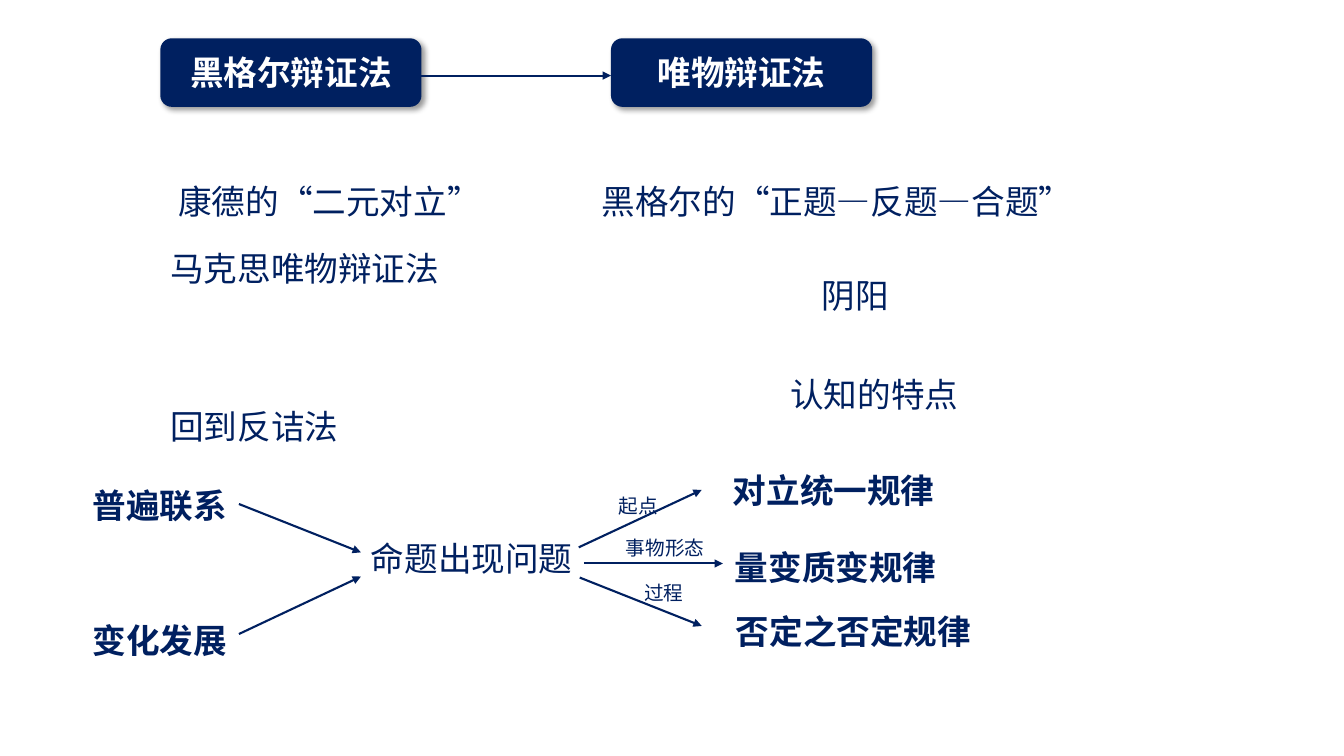
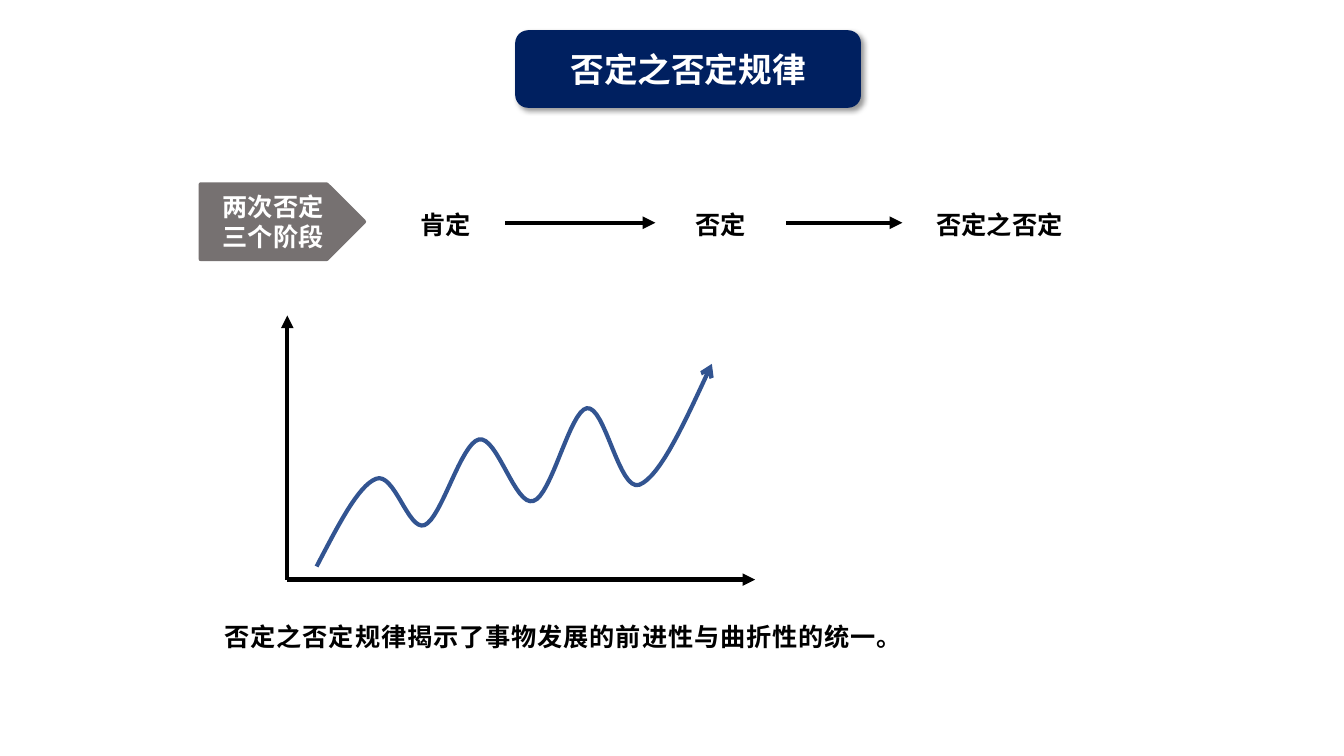
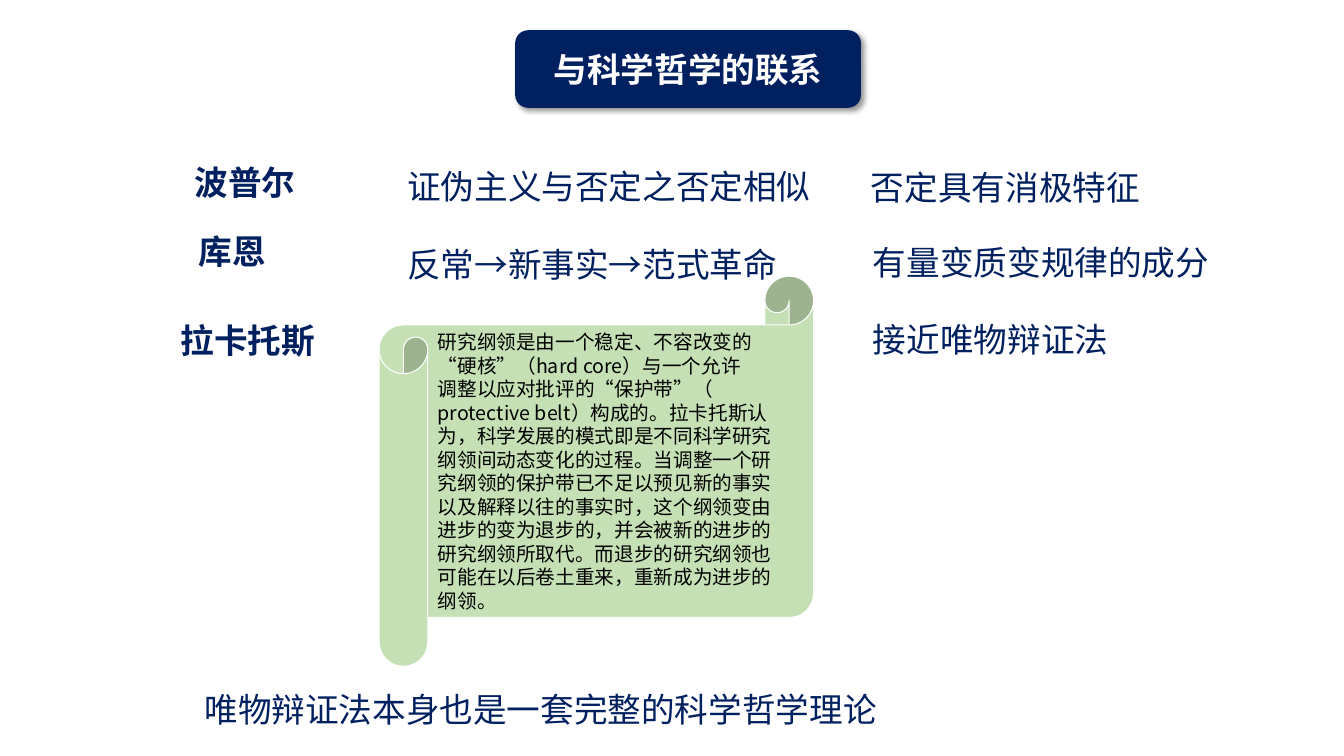
from dataclasses import dataclass

from lxml import etree
from pptx import Presentation
from pptx.dml.color import RGBColor
from pptx.enum.lang import MSO_LANGUAGE_ID
from pptx.enum.shapes import MSO_CONNECTOR, MSO_SHAPE
from pptx.enum.text import MSO_ANCHOR, MSO_AUTO_SIZE, PP_ALIGN
from pptx.oxml import parse_xml
from pptx.oxml.ns import nsdecls, qn
from pptx.util import Inches, Pt


@dataclass(frozen=True)
class Theme:
    navy: str = "002060"
    white: str = "FFFFFF"
    black: str = "000000"
    gray: str = "767171"
    blue: str = "325491"
    green: str = "C5E0B4"
    large: int = 24
    medium: int = 18
    small: int = 14
    latin: str = "Arial"
    cjk: str = "Noto Sans CJK SC"
    loose: float = 1.2
    tight: int = 19
    thin: float = 1.5
    thick: float = 3


SHADOW = (
    f'<a:effectLst {nsdecls("a")}><a:outerShdw blurRad="50800" dist="38100" '
    'dir="2700000" algn="tl" rotWithShape="0"><a:srgbClr val="000000">'
    '<a:alpha val="40000"/></a:srgbClr></a:outerShdw></a:effectLst>'
)


def write(frame, text, size, color, bold=False, face=None, cjk=None,
          align=PP_ALIGN.JUSTIFY, gap=None):
    """Fill a text frame, one paragraph for each line of text."""
    for i, line in enumerate(text.split("\n")):
        para = frame.paragraphs[0] if i == 0 else frame.add_paragraph()
        para.alignment = align
        if gap:
            para.line_spacing = gap
        run = para.add_run()
        run.text = line
        font = run.font
        font.size, font.bold, font.name = Pt(size), bold, face
        font.color.rgb = RGBColor.from_string(color)
        font.language_id = MSO_LANGUAGE_ID.SIMPLIFIED_CHINESE
        latin = font._element.find(qn("a:latin"))
        east = etree.Element(qn("a:ea"), typeface=cjk or face)
        latin.addnext(east)


def stroke(line, color, width, head=None):
    line.color.rgb = RGBColor.from_string(color)
    line.width = Pt(width)
    if head:
        etree.SubElement(line._get_or_add_ln(), qn("a:tailEnd"), type=head)


def curve(start, parts, steps=16):
    """Sample joined cubic Bezier parts into points."""
    points = [start]
    for one, two, end in parts:
        first = points[-1]
        for i in range(1, steps + 1):
            t = i / steps
            u = 1 - t
            points.append(tuple(
                u**3 * a + 3 * u * u * t * b + 3 * u * t * t * c + t**3 * d
                for a, b, c, d in zip(first, one, two, end)))
    return points


class Deck:
    def __init__(self, theme):
        self.theme = theme
        self.show = Presentation()
        self.show.slide_width = Inches(13.33)
        self.show.slide_height = Inches(7.5)

    def page(self):
        self.slide = self.show.slides.add_slide(self.show.slide_layouts[6])

    def box(self, x, y, w, h, grow=True):
        shape = self.slide.shapes.add_textbox(*map(Inches, (x, y, w, h)))
        frame = shape.text_frame
        frame.word_wrap = grow
        if grow:
            frame.auto_size = MSO_AUTO_SIZE.SHAPE_TO_FIT_TEXT
        return frame

    def note(self, text, x, y, w=2.9, size=None, bold=False):
        t = self.theme
        size = size or t.large
        high = 0.54 if size == t.large else 0.36
        write(self.box(x, y, w, high), text, size, t.navy, bold,
              face=t.latin, cjk=t.cjk, gap=t.loose)

    def phrase(self, text, x, y, w=2.08):
        t = self.theme
        write(self.box(x, y, w, 0.37), text, t.medium, t.black, True,
              face=t.cjk, gap=Pt(t.tight))

    def label(self, text, x, y):
        t = self.theme
        frame = self.box(x, y, 1.72, 0.57, grow=False)
        frame.margin_left = frame.margin_right = 0
        frame.margin_top = frame.margin_bottom = 0
        frame.vertical_anchor = MSO_ANCHOR.MIDDLE
        write(frame, text, t.large, t.navy, True, face=t.cjk, gap=Pt(t.tight))

    def shape(self, kind, x, y, w, h, fill, edge=None, width=0):
        item = self.slide.shapes.add_shape(kind, *map(Inches, (x, y, w, h)))
        item.shadow.inherit = False
        item.fill.solid()
        item.fill.fore_color.rgb = RGBColor.from_string(fill)
        if edge:
            stroke(item.line, edge, width)
        else:
            item.line.fill.background()
        item.text_frame.vertical_anchor = MSO_ANCHOR.MIDDLE
        return item

    def badge(self, text, x=5.11, y=0.3, w=3.43, h=0.77):
        t = self.theme
        item = self.shape(MSO_SHAPE.ROUNDED_RECTANGLE, x, y, w, h, t.navy)
        props = item._element.spPr
        props.replace(props.find(qn("a:effectLst")), parse_xml(SHADOW))
        write(item.text_frame, text, t.large, t.white, True, face=t.cjk,
              align=PP_ALIGN.CENTER)

    def tag(self, text, x, y, w, h):
        t = self.theme
        item = self.shape(MSO_SHAPE.PENTAGON, x, y, w, h, t.gray, t.gray, t.thick)
        write(item.text_frame, text, t.medium, t.white, True, face=t.cjk,
              align=PP_ALIGN.CENTER)

    def scroll(self, text, x, y, w, h):
        t = self.theme
        item = self.shape(MSO_SHAPE.HORIZONTAL_SCROLL, x, y, w, h,
                          t.green, t.white, 0.75)
        item.adjustments[0] = 0.125
        item.text_frame.word_wrap = False
        write(item.text_frame, text, t.small, t.black, face=t.cjk)

    def arrow(self, x1, y1, x2, y2, color, width):
        item = self.slide.shapes.add_connector(
            MSO_CONNECTOR.STRAIGHT, *map(Inches, (x1, y1, x2, y2)))
        stroke(item.line, color, width, "triangle")
        etree.SubElement(item._element.spPr, qn("a:effectLst"))

    def wave(self, points, color, width):
        first, *rest = [(Inches(x), Inches(y)) for x, y in points]
        path = self.slide.shapes.build_freeform(*first)
        path.add_line_segments(rest, close=False)
        item = path.convert_to_shape()
        item.shadow.inherit = False
        item.fill.background()
        stroke(item.line, color, width, "arrow")


def laws(deck):
    t = deck.theme
    deck.page()
    for text, x in (("黑格尔辩证法", 1.59), ("唯物辩证法", 6.06)):
        deck.badge(text, x, 0.38, 2.59, 0.68)
    for text, x, y, w in (
        ("康德的“二元对立”", 1.67, 1.67, 3.46),
        ("黑格尔的“正题—反题—合题”", 5.87, 1.67, 4.9),
        ("马克思唯物辩证法", 1.59, 2.33, 4.9),
        ("阴阳", 8.05, 2.6, 1.93),
        ("认知的特点", 7.74, 3.58, 2.9),
        ("回到反诘法", 1.59, 3.9, 2.9),
        ("命题出现问题", 3.58, 5.21, 2.9),
    ):
        deck.note(text, x, y, w)
    for text, x, y in (
        ("普遍联系", 0.82, 4.68),
        ("变化发展", 0.82, 6.02),
        ("对立统一规律", 7.17, 4.53),
        ("量变质变规律", 7.19, 5.3),
        ("否定之否定规律", 7.2, 5.93),
    ):
        deck.note(text, x, y, bold=True)
    for text, x, y in (("起点", 6.04, 4.8), ("事物形态", 6.11, 5.22),
                       ("过程", 6.29, 5.67)):
        deck.note(text, x, y, size=t.small)
    for ends in (
        (4.18, 0.75, 6.06, 0.75),
        (2.37, 5, 3.58, 5.48),
        (2.37, 6.29, 3.58, 5.72),
        (5.74, 5.43, 6.96, 4.86),
        (5.79, 5.59, 7.17, 5.59),
        (5.75, 5.73, 6.96, 6.21),
    ):
        deck.arrow(*ends, t.navy, t.thin)


def stages(deck):
    t = deck.theme
    deck.page()
    deck.badge("否定之否定规律")
    deck.tag("两次否定\n三个阶段", 1.99, 1.83, 1.62, 0.74)
    for text, x in (("肯定", 4.07), ("否定", 6.8), ("否定之否定", 9.19)):
        deck.phrase(text, x, 2.06)
    left, base = 2.85, 5.75
    for ends in (
        (5.01, 2.21, 6.5, 2.21),
        (7.8, 2.21, 8.95, 2.21),
        (left, base, left, 3.13),
        (left, base, 7.49, base),
    ):
        deck.arrow(*ends, t.black, t.thick)
    deck.wave(curve((3.14, 5.62), (
        ((3.35, 5.22), (3.55, 4.82), (3.73, 4.75)),
        ((3.91, 4.68), (4.05, 5.27), (4.21, 5.21)),
        ((4.38, 5.14), (4.57, 4.4), (4.75, 4.36)),
        ((4.93, 4.32), (5.11, 5.03), (5.29, 4.97)),
        ((5.47, 4.92), (5.65, 4.08), (5.82, 4.05)),
        ((6, 4.02), (6.14, 4.88), (6.34, 4.81)),
        ((6.55, 4.73), (6.8, 4.17), (7.06, 3.61)),
    )), t.blue, t.thick)
    deck.phrase("否定之否定规律揭示了事物发展的前进性与曲折性的统一。",
                2.13, 6.15, 6.67)


PROGRAM = """研究纲领是由一个稳定、不容改变的
“硬核”（hard core）与一个允许
调整以应对批评的“保护带”（
protective belt）构成的。拉卡托斯认
为，科学发展的模式即是不同科学研究
纲领间动态变化的过程。当调整一个研
究纲领的保护带已不足以预见新的事实
以及解释以往的事实时，这个纲领变由
进步的变为退步的，并会被新的进步的
研究纲领所取代。而退步的研究纲领也
可能在以后卷土重来，重新成为进步的
纲领。"""


def links(deck):
    deck.page()
    deck.badge("与科学哲学的联系")
    for text, x, y in (("波普尔", 1.93, 1.59), ("库恩", 1.97, 2.27),
                       ("拉卡托斯", 1.79, 3.16)):
        deck.label(text, x, y)
    for text, x, y in (
        ("证伪主义与否定之否定相似", 3.94, 1.52),
        ("否定具有消极特征", 8.54, 1.53),
        ("反常→新事实→范式革命", 3.94, 2.29),
        ("有量变质变规律的成分", 8.56, 2.27),
        ("接近唯物辩证法", 8.56, 3.03),
    ):
        deck.note(text, x, y, 4.78)
    deck.scroll(PROGRAM, 3.76, 2.74, 4.31, 3.87)
    deck.note("唯物辩证法本身也是一套完整的科学哲学理论", 1.93, 6.71, 7.83)


def main():
    deck = Deck(Theme())
    for build in (laws, stages, links):
        build(deck)
    deck.show.save("out.pptx")


if __name__ == "__main__":
    main()
